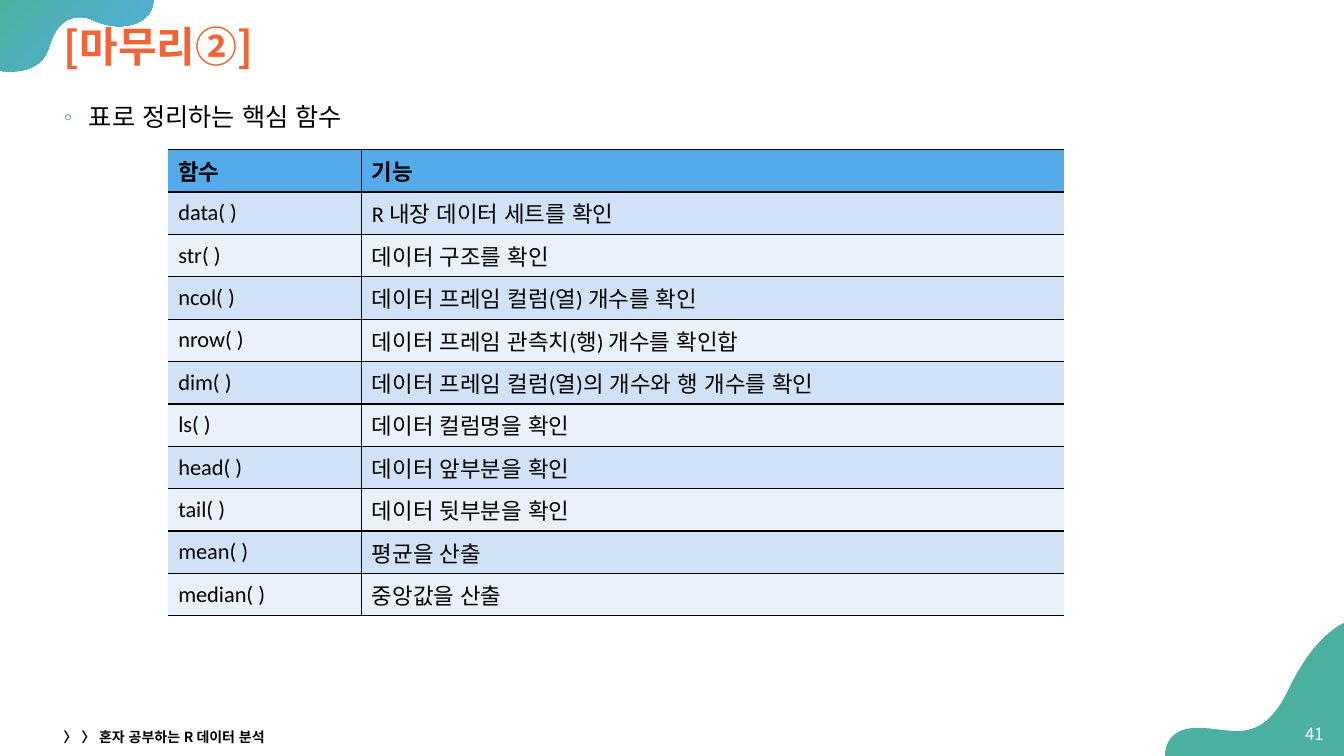
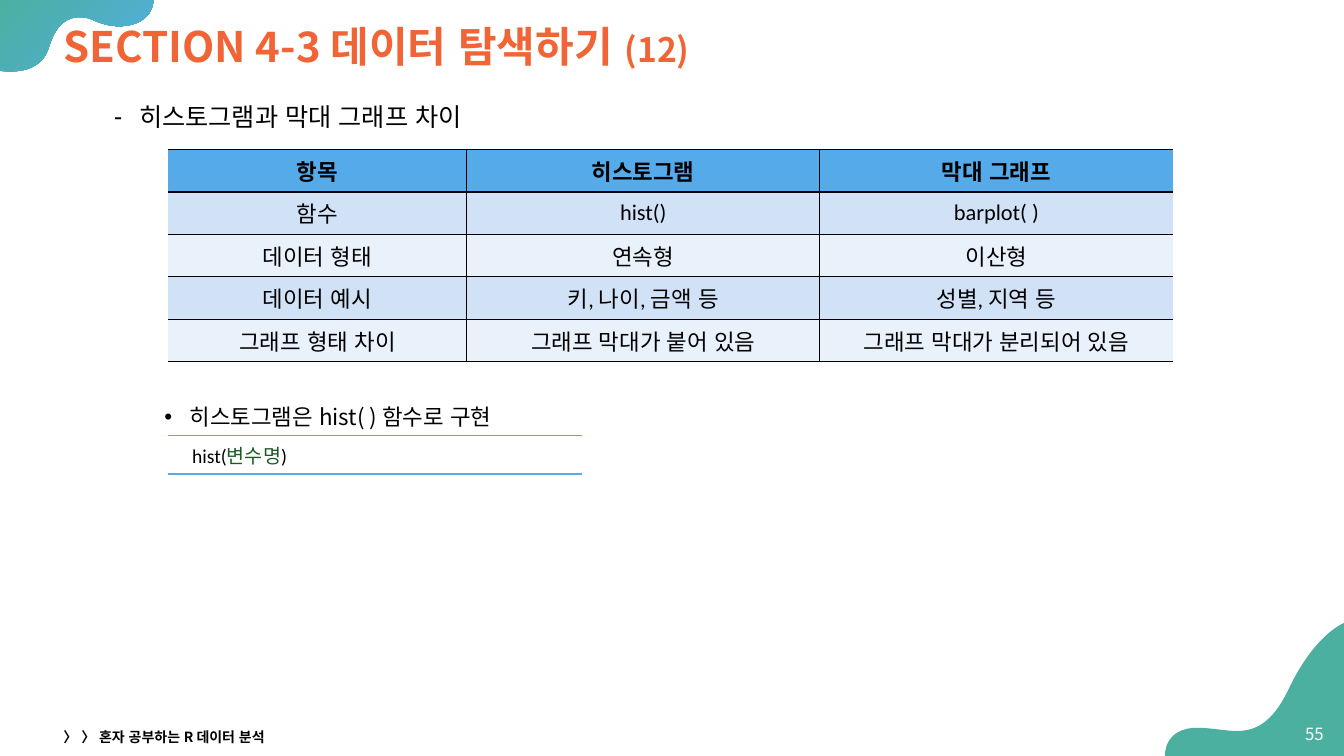
from dataclasses import dataclass
from typing import NamedTuple

from lxml import etree
from pptx import Presentation
from pptx import util as u
from pptx.dml.color import RGBColor
from pptx.enum import lang
from pptx.enum import text as t
from pptx.oxml.ns import qn

TEAL = RGBColor(0x4B, 0xB0, 0xA0)
SKY = RGBColor(0x52, 0xAE, 0xE1)
ORANGE = RGBColor(0xF0, 0x64, 0x36)
BLACK = RGBColor(0x00, 0x00, 0x00)
WHITE = RGBColor(0xFF, 0xFF, 0xFF)
GREEN = RGBColor(0x1C, 0x5A, 0x25)
HEADER_BLUE = RGBColor(0x55, 0xAA, 0xEA)
BAND_BLUES = (RGBColor(0xE9, 0xF1, 0xFB), RGBColor(0xD1, 0xE2, 0xF7))

KOREAN_FONT = "Noto Sans CJK KR"
TABLE_FONT = "Calibri"
FOOTER = "〉 〉 혼자 공부하는 R 데이터 분석"
TABLE_LEFT, TABLE_TOP, ROW_HEIGHT = 4.24, 3.77, 1.03

# Outlines in cm: a pair is a straight segment, six numbers a Bézier segment.
CORNER_WAVE = (
    (3.87, -0.05), (-0.02, -0.05), (-0.02, 1.78),
    (-0.02, 1.78, 0.1, 1.8, 0.28, 1.8),
    (0.61, 1.8, 1.09, 1.7, 1.24, 1.17),
    (1.42, 0.58, 1.73, 0.43, 2.01, 0.43),
    (2.13, 0.43, 2.26, 0.46, 2.36, 0.51),
    (2.57, 0.61, 2.79, 0.66, 3, 0.66),
    (3.48, 0.66, 3.87, 0.43, 3.87, -0.05),
)
BOTTOM_WAVE = (
    (33.87, 15.7),
    (33.87, 15.7, 33.12, 15.98, 32.46, 17.4),
    (32.05, 18.24, 31.62, 18.42, 31.17, 18.42),
    (30.86, 18.42, 30.53, 18.34, 30.18, 18.34),
    (29.31, 18.34, 29.36, 19.05, 29.36, 19.05),
    (33.87, 19.05),
)


class Box(NamedTuple):
    left: float
    top: float
    width: float
    height: float


TITLE_BOX = Box(1.35, 0.3, 31.34, 1.85)
BODY_BOX = Box(1.35, 2.28, 31.34, 16)
FOOTER_BOX = Box(1.35, 18.26, 11.43, 0.61)
NUMBER_BOX = Box(32.49, 17.98, 1.12, 1.02)


class Span(NamedTuple):
    text: str
    size: float
    color: RGBColor = BLACK
    bold: bool = False
    font: str = KOREAN_FONT


@dataclass
class Bullet:
    text: str
    level: int
    mark: str
    size: float = 18
    mark_color: RGBColor = BLACK
    space_before: float = 0


@dataclass
class Grid:
    column_widths: list[float]
    rows: list[tuple[str, ...]]
    align: t.PP_ALIGN


@dataclass
class Page:
    title: list[Span]
    number: int
    bullets: list[Bullet]
    grid: Grid


def in_cm(box: Box) -> list[u.Cm]:
    return [u.Cm(length) for length in box]


def write(paragraph, spans: list[Span]) -> None:
    for span in spans:
        run = paragraph.add_run()
        run.text = span.text
        font = run.font
        font.size, font.bold, font.name = u.Pt(span.size), span.bold, span.font
        font.color.rgb = span.color
        font.language_id = lang.MSO_LANGUAGE_ID.KOREAN
        east_asian = etree.SubElement(run._r.get_or_add_rPr(), qn("a:ea"))
        east_asian.set("typeface", KOREAN_FONT)


def place(shape, box: Box) -> None:
    shape.left, shape.top, shape.width, shape.height = in_cm(box)


def set_frame(frame, anchor: t.MSO_ANCHOR) -> None:
    frame.word_wrap = True
    frame.auto_size = t.MSO_AUTO_SIZE.NONE
    frame.vertical_anchor = anchor


def add_label(slide, box: Box, span: Span, align: t.PP_ALIGN) -> None:
    frame = slide.shapes.add_textbox(*in_cm(box)).text_frame
    set_frame(frame, t.MSO_ANCHOR.MIDDLE)
    frame.paragraphs[0].alignment = align
    write(frame.paragraphs[0], [span])


def bend_segments(shape, outline: tuple) -> None:
    """Join each three straight segments that hold Bézier points into one curve."""
    lines = iter(list(shape.element.iter(qn("a:lnTo"))))
    for segment in outline[1:]:
        line = next(lines)
        if len(segment) == 2:
            continue
        curve = etree.Element(qn("a:cubicBezTo"))
        line.addprevious(curve)
        for part in (line, next(lines), next(lines)):
            curve.append(part[0])
            part.getparent().remove(part)


def add_wave(slide, outline: tuple):
    """Draw a wave behind everything else on the slide."""
    start, *points = [
        (u.Cm(segment[i]), u.Cm(segment[i + 1]))
        for segment in outline for i in range(0, len(segment), 2)]
    builder = slide.shapes.build_freeform(*start)
    builder.add_line_segments(points, close=True)
    wave = builder.convert_to_shape()
    bend_segments(wave, outline)
    wave.shadow.inherit = False
    wave.line.fill.background()
    tree = wave.element.getparent()
    tree.remove(wave.element)
    tree.insert(2, wave.element)
    return wave


def add_decoration(slide) -> None:
    bottom = add_wave(slide, BOTTOM_WAVE)
    bottom.fill.solid()
    bottom.fill.fore_color.rgb = TEAL
    corner = add_wave(slide, CORNER_WAVE)
    corner.fill.gradient()
    corner.fill.gradient_angle = 315
    for stop, color in zip(corner.fill.gradient_stops, (TEAL, SKY)):
        stop.color.rgb = color


def set_bullet(paragraph, bullet: Bullet) -> None:
    properties = paragraph._p.get_or_add_pPr()
    properties.set("marL", str(u.Cm(0.635 + 1.27 * bullet.level)))
    properties.set("indent", str(-u.Cm(0.635)))
    color = etree.SubElement(properties, qn("a:buClr"))
    etree.SubElement(color, qn("a:srgbClr")).set("val", str(bullet.mark_color))
    etree.SubElement(properties, qn("a:buFont")).set("typeface", "Arial")
    etree.SubElement(properties, qn("a:buChar")).set("char", bullet.mark)


def fill_body(body, bullets: list[Bullet]) -> None:
    place(body, BODY_BOX)
    frame = body.text_frame
    set_frame(frame, t.MSO_ANCHOR.TOP)
    for index, bullet in enumerate(bullets):
        paragraph = frame.add_paragraph() if index else frame.paragraphs[0]
        paragraph.level = bullet.level
        set_bullet(paragraph, bullet)
        paragraph.line_spacing = 1.2
        paragraph.space_before = u.Pt(bullet.space_before)
        write(paragraph, [Span(bullet.text, bullet.size)])


def set_borders(cell, edges: str, color: RGBColor) -> None:
    """Line the edges named by letters of "LRTB" and clear the others."""
    properties = cell._tc.get_or_add_tcPr()
    for edge in "LRTB":
        line = etree.SubElement(properties, qn(f"a:ln{edge}"), w=str(u.Pt(1)))
        if edge in edges:
            fill = etree.SubElement(line, qn("a:solidFill"))
            etree.SubElement(fill, qn("a:srgbClr")).set("val", str(color))
        else:
            etree.SubElement(line, qn("a:noFill"))


def add_plain_table(slide, row_count: int, column_widths: list[float],
                    top: float, row_height: float):
    box = Box(TABLE_LEFT, top, sum(column_widths), row_count * row_height)
    table = slide.shapes.add_table(row_count, len(column_widths), *in_cm(box)).table
    table.first_row = table.horz_banding = False
    for column, width in zip(table.columns, column_widths):
        column.width = u.Cm(width)
    for row in table.rows:
        row.height = u.Cm(row_height)
    return table


def add_grid(slide, grid: Grid) -> None:
    table = add_plain_table(slide, len(grid.rows), grid.column_widths, TABLE_TOP, ROW_HEIGHT)
    last_column = len(grid.column_widths) - 1
    for row_index, row in enumerate(grid.rows):
        is_header = row_index == 0
        for column_index, content in enumerate(row):
            cell = table.cell(row_index, column_index)
            left = "L" if column_index > 0 else ""
            right = "R" if column_index < last_column else ""
            set_borders(cell, f"TB{left}{right}", BLACK)
            cell.fill.solid()
            cell.fill.fore_color.rgb = HEADER_BLUE if is_header else BAND_BLUES[row_index % 2]
            cell.vertical_anchor = t.MSO_ANCHOR.MIDDLE
            paragraph = cell.text_frame.paragraphs[0]
            paragraph.alignment = grid.align
            write(paragraph, [Span(content, 16, bold=is_header, font=TABLE_FONT)])


def add_code_strip(slide, top: float, spans: list[Span]) -> None:
    cell = add_plain_table(slide, 1, [10.43], top, 0.84).cell(0, 0)
    set_borders(cell, "TB", HEADER_BLUE)
    cell.fill.background()
    cell.margin_left = u.Cm(0.6)
    write(cell.text_frame.paragraphs[0], spans)


def add_page(presentation, page: Page):
    slide = presentation.slides.add_slide(presentation.slide_layouts[1])
    add_decoration(slide)
    title, body = slide.placeholders
    place(title, TITLE_BOX)
    set_frame(title.text_frame, t.MSO_ANCHOR.MIDDLE)
    heading = title.text_frame.paragraphs[0]
    heading.alignment = t.PP_ALIGN.LEFT
    heading.line_spacing = 0.9
    write(heading, page.title)
    fill_body(body, page.bullets)
    add_label(slide, FOOTER_BOX, Span(FOOTER, 10, bold=True), t.PP_ALIGN.LEFT)
    add_label(slide, NUMBER_BOX, Span(str(page.number), 12, WHITE), t.PP_ALIGN.RIGHT)
    add_grid(slide, page.grid)
    return slide


FUNCTION_SUMMARY = Page(
    title=[Span("[마무리②]", 30, ORANGE, True)],
    number=41,
    bullets=[Bullet("표로 정리하는 핵심 함수", 0, "◦", mark_color=TEAL)],
    grid=Grid([4.88, 17.69], [
        ("함수", "기능"),
        ("data( )", "R 내장 데이터 세트를 확인"),
        ("str( )", "데이터 구조를 확인"),
        ("ncol( )", "데이터 프레임 컬럼(열) 개수를 확인"),
        ("nrow( )", "데이터 프레임 관측치(행) 개수를 확인합"),
        ("dim( )", "데이터 프레임 컬럼(열)의 개수와 행 개수를 확인"),
        ("ls( )", "데이터 컬럼명을 확인"),
        ("head( )", "데이터 앞부분을 확인"),
        ("tail( )", "데이터 뒷부분을 확인"),
        ("mean( )", "평균을 산출"),
        ("median( )", "중앙값을 산출"),
    ], t.PP_ALIGN.LEFT),
)
CHART_COMPARISON = Page(
    title=[Span("SECTION 4-3 데이터 탐색하기 ", 30, ORANGE, True), Span("(12)", 24, ORANGE, True)],
    number=55,
    bullets=[
        Bullet("히스토그램과 막대 그래프 차이", 1, "⁃"),
        Bullet("히스토그램은 hist( ) 함수로 구현", 2, "•", size=16, space_before=190),
    ],
    grid=Grid([7.52, 8.9, 8.9], [
        ("항목", "히스토그램", "막대 그래프"),
        ("함수", "hist()", "barplot( )"),
        ("데이터 형태", "연속형", "이산형"),
        ("데이터 예시", "키, 나이, 금액 등", "성별, 지역 등"),
        ("그래프 형태 차이", "그래프 막대가 붙어 있음", "그래프 막대가 분리되어 있음"),
    ], t.PP_ALIGN.CENTER),
)


def main() -> None:
    presentation = Presentation()
    presentation.slide_width, presentation.slide_height = u.Cm(33.87), u.Cm(19.05)
    add_page(presentation, FUNCTION_SUMMARY)
    comparison = add_page(presentation, CHART_COMPARISON)
    code = (("hist(", BLACK), ("변수명", GREEN), (")", BLACK))
    add_code_strip(comparison, 10.97,
                   [Span(part, 14, color, font=TABLE_FONT) for part, color in code])
    presentation.save("out.pptx")


if __name__ == "__main__":
    main()
